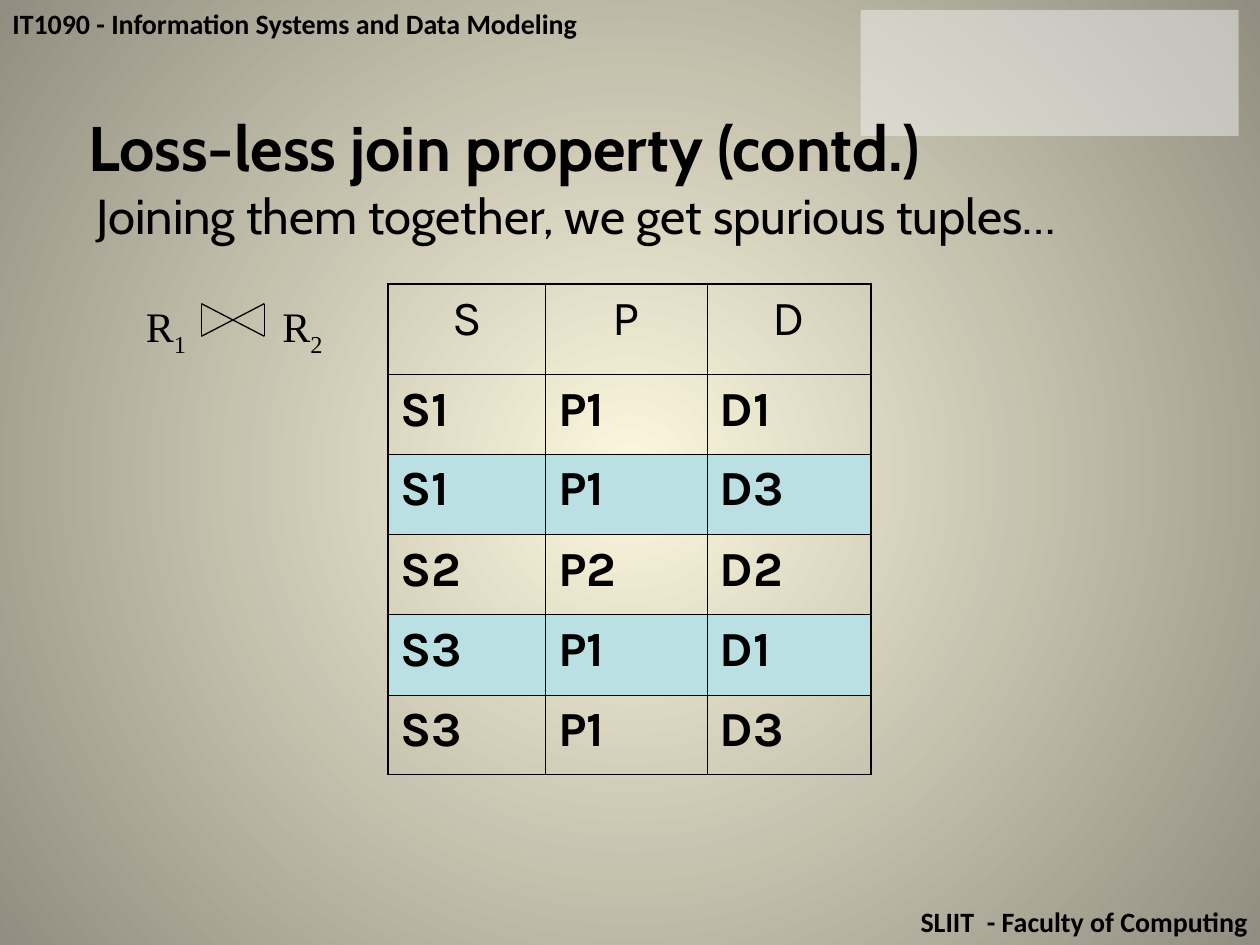
from lxml import etree
from pptx import Presentation
from pptx.dml.color import RGBColor
from pptx.enum.shapes import MSO_CONNECTOR, MSO_SHAPE
from pptx.enum.text import PP_ALIGN
from pptx.oxml.ns import qn
from pptx.util import Cm, Pt

LEFT, CENTER, RIGHT = PP_ALIGN.LEFT, PP_ALIGN.CENTER, PP_ALIGN.RIGHT
RECTANGLE = MSO_SHAPE.RECTANGLE
STRAIGHT = MSO_CONNECTOR.STRAIGHT
BLACK = "000000"
HIGHLIGHT = "BBE0E3"
THIN, THICK = 0.45, 1.08

COLUMN_WIDTHS = [3.18, 3.25, 3.31]
ROW_HEIGHTS = [1.83, 1.6, 1.62, 1.62, 1.62, 1.6]
JOINED_TUPLES = [
    ["S", "P", "D"],
    ["S1", "P1", "D1"],
    ["S1", "P1", "D3"],
    ["S2", "P2", "D2"],
    ["S3", "P1", "D1"],
    ["S3", "P1", "D3"],
]
SPURIOUS_ROWS = (2, 4)


def color(value):
    """Turn a hex string into a colour."""
    return RGBColor.from_string(value)


def add_span(para, text, font="Cabin", size=28, bold=False, baseline=0):
    """Append formatted text to a paragraph."""
    span = para.add_run()
    span.text = text
    span.font.name = font
    span.font.size = Pt(size)
    span.font.bold = bold
    span.font.color.rgb = color(BLACK)
    if baseline:
        span.font._element.set("baseline", str(baseline * 1000))


def add_text(page, left, top, width, height, align=LEFT):
    """Add a wrapping text box and return its paragraph."""
    box = page.shapes.add_textbox(Cm(left), Cm(top), Cm(width), Cm(height))
    box.text_frame.word_wrap = True
    para = box.text_frame.paragraphs[0]
    para.alignment = align
    return para


def add_tab_stop(para, position):
    """Give a paragraph one left tab stop."""
    stops = etree.SubElement(para._p.get_or_add_pPr(), qn("a:tabLst"))
    etree.SubElement(stops, qn("a:tab"), pos=str(Cm(position)), algn="l")


def set_background(page, inner, outer):
    """Fill the page with a circular gradient."""
    fill = page.background.fill
    fill.gradient()
    for stop, value in zip(fill.gradient_stops, (inner, outer)):
        stop.color.rgb = color(value)
    gradient = next(page.element.iter(qn("a:gradFill")))
    gradient.remove(gradient.find(qn("a:lin")))
    circle = etree.SubElement(gradient, qn("a:path"), path="circle")
    etree.SubElement(circle, qn("a:fillToRect"), l="50000", t="50000", r="50000", b="50000")


def add_panel(page, left, top, width, height, fill, opacity):
    """Add a translucent rectangle without an outline."""
    panel = page.shapes.add_shape(RECTANGLE, Cm(left), Cm(top), Cm(width), Cm(height))
    panel.shadow.inherit = False
    panel.line.fill.background()
    panel.fill.solid()
    panel.fill.fore_color.rgb = color(fill)
    tint = panel.fill._xPr.find(qn("a:solidFill"))[0]
    etree.SubElement(tint, qn("a:alpha"), val=str(opacity * 1000))


def add_line(page, start, end):
    """Add a thin black line between two points."""
    line = page.shapes.add_connector(STRAIGHT, *map(Cm, start + end))
    line.line.color.rgb = color(BLACK)
    line.line.width = Pt(0.75)
    etree.SubElement(line._element.spPr, qn("a:effectLst"))


def add_join_sign(page, left, top, right, bottom):
    """Draw the bow tie of a natural join."""
    add_line(page, (left, bottom), (left, top))
    add_line(page, (left, top), (right, bottom))
    add_line(page, (left, bottom), (right, top))
    add_line(page, (right, top), (right, bottom))


def set_borders(cell, **widths):
    """Draw black cell borders, one width in points per side."""
    properties = cell._tc.get_or_add_tcPr()
    for side, width in widths.items():
        border = etree.SubElement(properties, qn(f"a:ln{side}"), w=str(Pt(width)))
        fill = etree.SubElement(border, qn("a:solidFill"))
        etree.SubElement(fill, qn("a:srgbClr"), val=BLACK)


def add_tuple_table(page, left, top):
    """Add the joined relation with its spurious tuples highlighted."""
    last_row, last_column = len(ROW_HEIGHTS) - 1, len(COLUMN_WIDTHS) - 1
    frame = page.shapes.add_table(
        last_row + 1, last_column + 1, Cm(left), Cm(top),
        Cm(sum(COLUMN_WIDTHS)), Cm(sum(ROW_HEIGHTS)))
    table = frame.table
    table.first_row = table.horz_banding = False
    for column, width in zip(table.columns, COLUMN_WIDTHS):
        column.width = Cm(width)
    for i, height in enumerate(ROW_HEIGHTS):
        table.rows[i].height = Cm(height)
        for j, text in enumerate(JOINED_TUPLES[i]):
            cell = table.cell(i, j)
            para = cell.text_frame.paragraphs[0]
            para.alignment = LEFT if i else CENTER
            para.line_spacing = 1.01
            add_span(para, text, font="Karla", bold=i > 0)
            set_borders(
                cell,
                L=THIN if j else THICK,
                R=THICK if j == last_column else THIN,
                T=THIN if i else THICK,
                B=THICK if i == last_row else THIN)
            if i in SPURIOUS_ROWS:
                cell.fill.solid()
                cell.fill.fore_color.rgb = color(HIGHLIGHT)
            else:
                cell.fill.background()


def main():
    """Build the slide and save it."""
    deck = Presentation()
    deck.slide_width, deck.slide_height = Cm(25.4), Cm(19.05)
    page = deck.slides.add_slide(deck.slide_layouts[6])
    set_background(page, "FCF7DD", "918E81")

    header = add_text(page, 0, 0, 25.4, 0.94)
    add_span(header, "IT1090 - Information Systems and Data Modeling",
             font="Calibri", size=16, bold=True)
    footer = add_text(page, 0, 18.11, 25.4, 0.94, align=RIGHT)
    add_span(footer, "SLIIT  - Faculty of Computing", font="Calibri", size=16, bold=True)
    add_panel(page, 17.35, 0.2, 7.62, 2.54, fill="F2F2F2", opacity=50)

    title = add_text(page, -0.63, 2.06, 21.59, 2.21, align=CENTER)
    add_span(title, "Loss-less join property (contd.)", size=36, bold=True)
    subtitle = add_text(page, 1.7, 3.61, 22.23, 2.72)
    add_span(subtitle, "Joining them together, we get spurious tuples…")

    relations = add_text(page, 2.69, 5.94, 4.3, 1.42)
    add_tab_stop(relations, 2.54)
    for text, baseline in (("R", 0), ("1 ", -25), (" \t R", 0), ("2", -25)):
        add_span(relations, text, font="Times New Roman", size=24, baseline=baseline)
    add_join_sign(page, 4.06, 6.12, 5.33, 6.78)
    add_tuple_table(page, 7.82, 5.72)

    deck.save("out.pptx")


if __name__ == "__main__":
    main()
